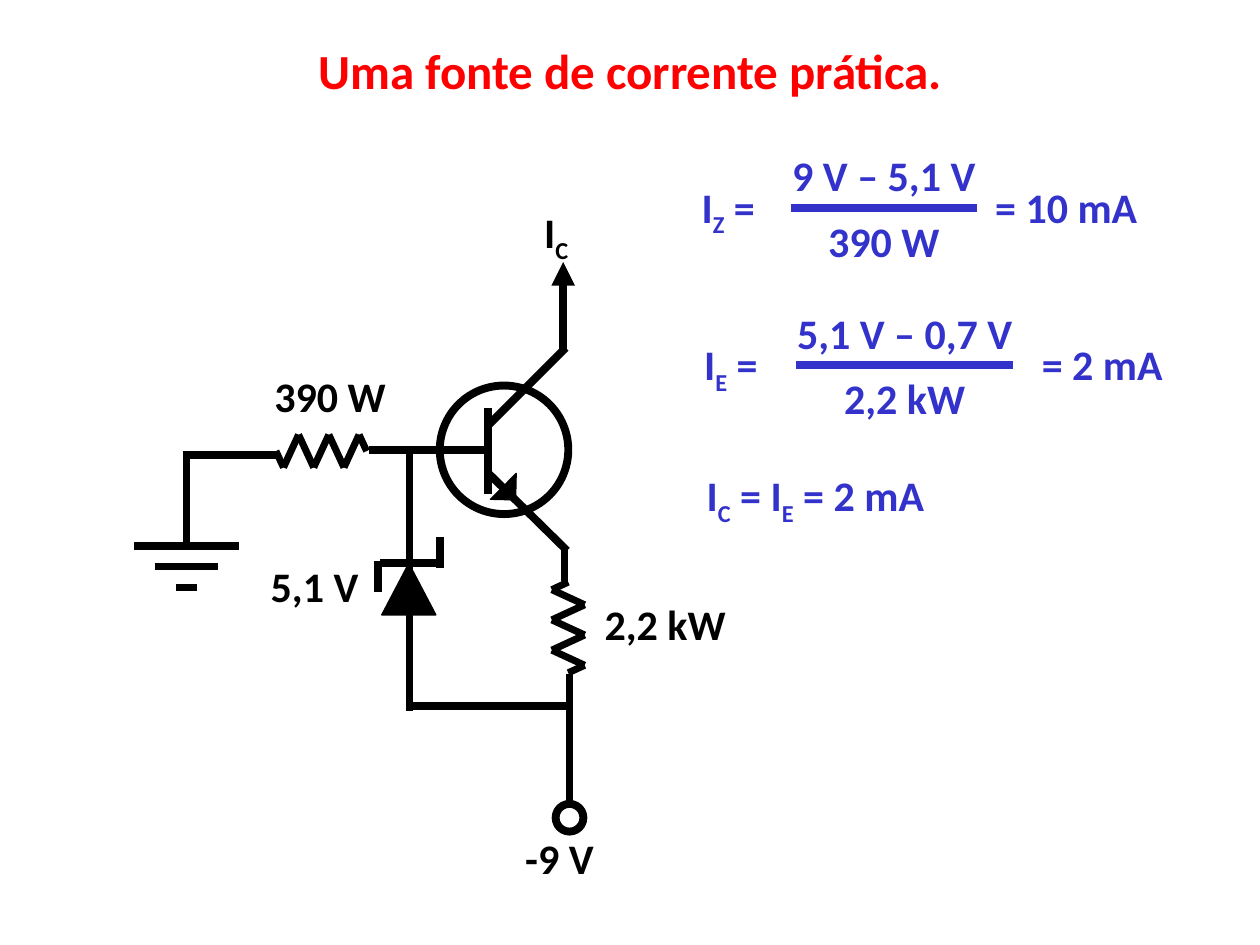
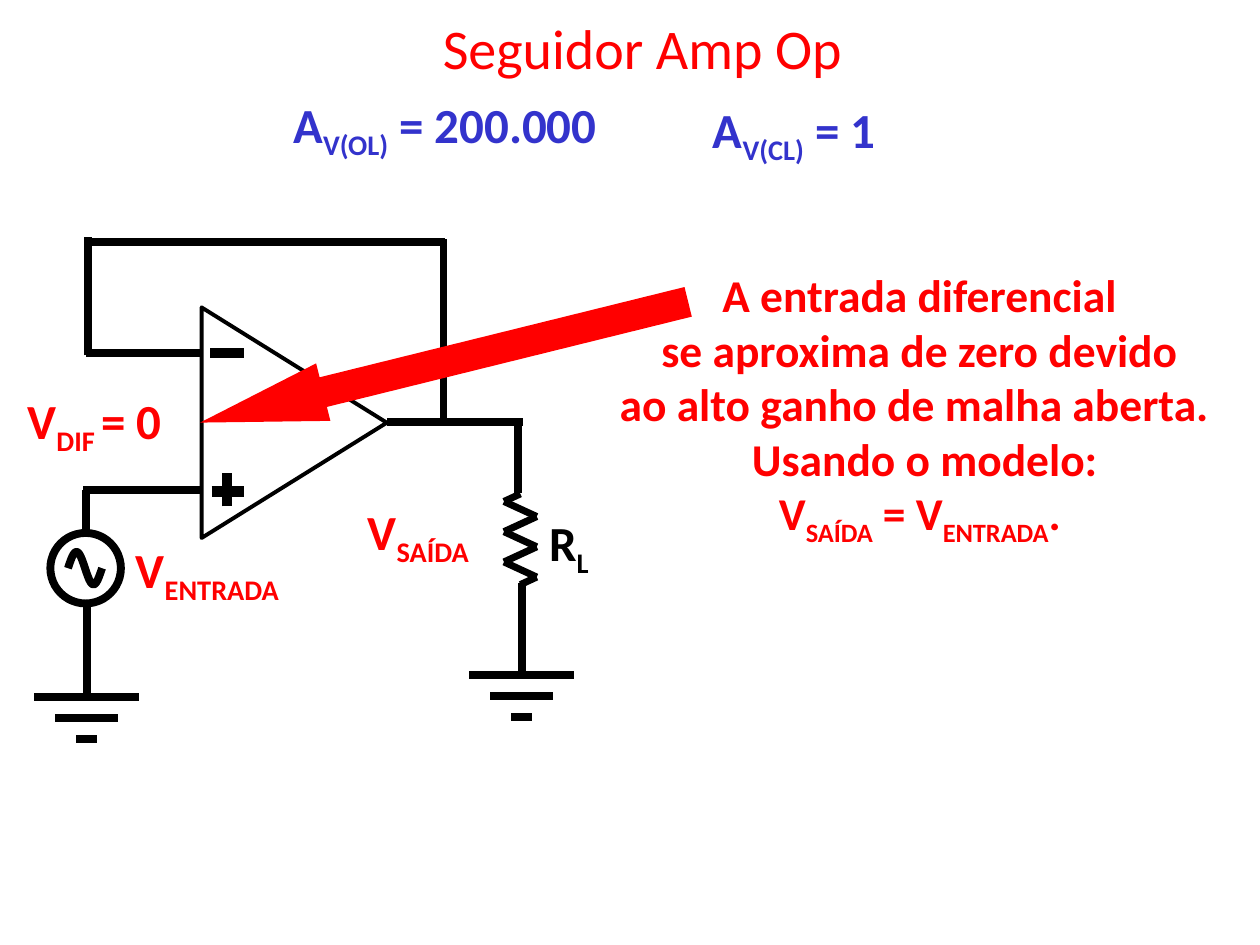
from math import pi, sin
from itertools import pairwise

from lxml.etree import SubElement
from pptx import Presentation
from pptx.dml.color import RGBColor
from pptx.enum.shapes import MSO_CONNECTOR, MSO_SHAPE as Preset
from pptx.enum.text import MSO_ANCHOR, MSO_AUTO_SIZE, PP_ALIGN as Align
from pptx.oxml.ns import qn
from pptx.util import Inches, Pt

BLACK, RED, BLUE = "000000", "FF0000", "3333CC"
WIRE, ZIGZAG, SIGN, OUTLINE = 4.5, 4, 6, 2.25
FRAME = dict(word_wrap=False, auto_size=MSO_AUTO_SIZE.NONE, vertical_anchor=MSO_ANCHOR.TOP,
             margin_left=Inches(0.1), margin_right=Inches(0.1),
             margin_top=Inches(0.05), margin_bottom=Inches(0.05))
SINGLE = dict(line_spacing=1.0, space_before=Pt(0), space_after=Pt(0))

TITLES = [
    ("Uma fonte de corrente prática.", (2.2, 0.27, 5.6, 0.57), 28, True),
    ("Seguidor Amp Op", (3.2, 0.06, 3.8, 0.64), 32, False),
]

FRACTIONS = [
    ("I|Z| =", "9 V – 5,1 V", "390 W", "= 10 mA", 5.47, 1.14, (6.28, 7.75), (7.8, 1.33)),
    ("I|E| =", "5,1 V – 0,7 V", "2,2 kW", "= 2 mA", 5.49, 2.39, (6.32, 8.04), (8.17, 1.16)),
]
SOURCE_LABELS = [
    ("390 W", (2.08, 2.89, 1.08, 0.5), BLACK),
    ("5,1 V", (2.05, 4.4, 0.89, 0.5), BLACK),
    ("2,2 kW", (4.7, 4.7, 1.16, 0.5), BLACK),
    ("-9 V", (4.07, 6.56, 0.74, 0.5), BLACK),
    ("I|C", (4.22, 1.59, 0.39, 0.56), BLACK),
    ("I|C| = I|E| = 2 mA", (5.51, 3.68, 2, 0.56), BLUE),
]
SOURCE_WIRES = [
    (3.88, 3.76, 4.5, 4.37), (3.87, 3.38, 4.49, 2.76), (3.87, 3.24, 3.87, 3.92),
    (4.48, 4.36, 4.48, 4.61), (4.52, 5.35, 4.52, 6.36),
    (3.84, 3.57, 2.93, 3.57), (2.19, 3.61, 1.45, 3.61),
    (3.02, 4.47, 3.46, 4.47), (3, 4.45, 3, 4.7), (3.49, 4.26, 3.49, 4.51),
    (3.25, 3.59, 3.25, 5.64), (3.25, 5.6, 4.51, 5.6),
]
COLLECTOR_ARROW = (4.47, 2.78, 4.47, 2.08)

FOLLOWER_LABELS = [
    ("R|L", (4.26, 4.02, 0.51, 0.63), BLACK),
    ("A|V(OL)| = 200.000", (2.23, 0.7, 2.61, 0.63), BLUE),
    ("A|V(CL)| = 1", (5.56, 0.74, 1.49, 0.63), BLUE),
    ("V|ENTRADA", (0.98, 4.23, 1.34, 0.63), RED),
    ("V|SAÍDA", (2.82, 3.93, 1.01, 0.63), RED),
    ("V|DIF |= 0", (0.12, 3.05, 1.26, 0.63), RED),
]
EXPLANATION = [
    "A entrada diferencial",
    "se aproxima de zero devido",
    "ao alto ganho de malha aberta. ",
    " Usando o modelo:",
    "V|SAÍDA| = V|ENTRADA|.",
]
FOLLOWER_WIRES = [
    (3.07, 3.35, 4.15, 3.35), (1.6, 3.89, 0.66, 3.89), (0.68, 3.89, 0.68, 4.22),
    (4.11, 3.34, 4.11, 3.91), (1.6, 2.8, 0.68, 2.8), (0.7, 2.82, 0.7, 1.88),
    (0.68, 1.92, 3.53, 1.92), (3.52, 1.9, 3.52, 3.35),
]
INPUT_SIGNS = [(1.67, 2.8, 1.94, 2.8), (1.68, 3.9, 1.94, 3.9), (1.8, 4.02, 1.8, 3.75)]


def rgb(value):
    return RGBColor.from_string(value)


def apply(target, values):
    for name, value in values.items():
        setattr(target, name, value)


def write(frame, lines, size, color, bold=True, align=Align.LEFT):
    apply(frame, FRAME)
    for number, line in enumerate(lines):
        paragraph = frame.add_paragraph() if number else frame.paragraphs[0]
        apply(paragraph, SINGLE | dict(alignment=align))
        for part, words in enumerate(line.split("|")):
            if not words:
                continue
            run = paragraph.add_run()
            run.text = words
            apply(run.font, dict(name="Calibri", size=Pt(size), bold=bold))
            run.font.color.rgb = rgb(color)
            if part % 2:
                run._r.get_or_add_rPr().set("baseline", "-25000")


def label(slide, lines, box, size, color, align=Align.LEFT):
    frame = slide.shapes.add_textbox(*map(Inches, box)).text_frame
    write(frame, lines, size, color, align=align)


def wire(slide, ends, width=WIRE, color=BLACK, arrow=False):
    line = slide.shapes.add_connector(MSO_CONNECTOR.STRAIGHT, *map(Inches, ends))
    line.line.color.rgb = rgb(color)
    line.line.width = Pt(width)
    if arrow:
        SubElement(line.line._get_or_add_ln(), qn("a:tailEnd"), type="triangle")
    SubElement(line._element.spPr, qn("a:effectLst"))


def paint(shape, fill=None, line=BLACK, width=WIRE):
    shape.shadow.inherit = False
    if fill:
        shape.fill.solid()
        shape.fill.fore_color.rgb = rgb(fill)
    else:
        shape.fill.background()
    if line:
        shape.line.color.rgb = rgb(line)
        shape.line.width = Pt(width)
    else:
        shape.line.fill.background()


def symbol(slide, preset, box, rotation=0, adjustments=(), **colors):
    shape = slide.shapes.add_shape(preset, *map(Inches, box))
    shape.rotation = rotation
    for number, value in enumerate(adjustments):
        shape.adjustments[number] = value
    paint(shape, **colors)


def resistor(slide, x, y, vertical=True, reach=0.13, pitch=0.12):
    side = -1 if vertical else 1
    corners = [(0, 0)]
    corners += [((step + 0.5) * pitch, side * reach * (-1) ** step) for step in range(6)]
    corners += [(6 * pitch, 0)]
    if vertical:
        points = [(x + across, y + along) for along, across in corners]
    else:
        points = [(x + along, y + across) for along, across in corners]
    for start, end in pairwise(points):
        wire(slide, start + end, ZIGZAG)


def ground(slide, x, y, stem=0.73, gap=1 / 6):
    wire(slide, (x, y - stem, x, y))
    for row, half in enumerate((2.5, 1.5, 0.5)):
        level = y + row * gap
        wire(slide, (x - half * gap, level, x + half * gap, level))


def sine(slide, x, y, length=0.27, height=0.13, steps=24):
    points = [(Inches(x + length * step / steps),
               Inches(y - height * sin(2 * pi * step / steps))) for step in range(steps + 1)]
    builder = slide.shapes.build_freeform(*points[0])
    builder.add_line_segments(points[1:], close=False)
    paint(builder.convert_to_shape())


def fraction(slide, name, numerator, denominator, result, left, top, bar, outcome):
    start, end = bar
    over = start - 0.1, end - start + 0.2
    label(slide, [name], (left, top + 0.25, 0.7, 0.56), 24, BLUE)
    for words, drop in ((numerator, 0), (denominator, 0.52)):
        label(slide, [words], (over[0], top + drop, over[1], 0.5), 24, BLUE, Align.CENTER)
    label(slide, [result], (outcome[0], top + 0.25, outcome[1], 0.5), 24, BLUE)
    wire(slide, (start, top + 0.51, end, top + 0.51), color=BLUE)


def titled_slide(deck, words, box, size, bold):
    slide = deck.slides.add_slide(deck.slide_layouts[5])
    title = slide.shapes.title
    apply(title, dict(zip(("left", "top", "width", "height"), map(Inches, box))))
    write(title.text_frame, [words], size, RED, bold, Align.CENTER)
    return slide


def current_source(slide):
    for ends in SOURCE_WIRES:
        wire(slide, ends)
    wire(slide, COLLECTOR_ARROW, arrow=True)
    symbol(slide, Preset.OVAL, (3.49, 3.06, 1.02, 1.02))
    symbol(slide, Preset.OVAL, (4.41, 6.38, 0.22, 0.22))
    symbol(slide, Preset.RIGHT_TRIANGLE, (3.89, 3.76, 0.21, 0.2), 271.3, fill=BLACK, width=0.75)
    symbol(slide, Preset.ISOSCELES_TRIANGLE, (3.03, 4.47, 0.43, 0.41), fill=BLACK, width=0.75)
    resistor(slide, 4.51, 4.62)
    resistor(slide, 2.19, 3.58, vertical=False)
    ground(slide, 1.48, 4.33)
    for words, box, color in SOURCE_LABELS:
        label(slide, [words], box, 24, color)
    for terms in FRACTIONS:
        fraction(slide, *terms)


def follower(slide):
    for ends in FOLLOWER_WIRES:
        wire(slide, ends)
    symbol(slide, Preset.ISOSCELES_TRIANGLE, (1.42, 2.62, 1.83, 1.47), 90, width=OUTLINE)
    for ends in INPUT_SIGNS:
        wire(slide, ends, SIGN)
    symbol(slide, Preset.OVAL, (0.4, 4.23, 0.56, 0.56))
    sine(slide, 0.54, 4.51)
    resistor(slide, 4.13, 3.92)
    ground(slide, 0.69, 5.53)
    ground(slide, 4.14, 5.36)
    symbol(slide, Preset.LEFT_ARROW, (1.53, 2.64, 3.99, 0.47), 346.1, (0.515, 2.142),
           fill=RED, line=None)
    for words, box, color in FOLLOWER_LABELS:
        label(slide, [words], box, 28, color)
    label(slide, EXPLANATION, (4.81, 2.07, 4.98, 2.33), 26, RED, Align.CENTER)


def main():
    deck = Presentation()
    deck.slide_width, deck.slide_height = Inches(10), Inches(7.5)
    for heading, draw in zip(TITLES, (current_source, follower)):
        draw(titled_slide(deck, *heading))
    deck.save("out.pptx")


if __name__ == "__main__":
    main()
